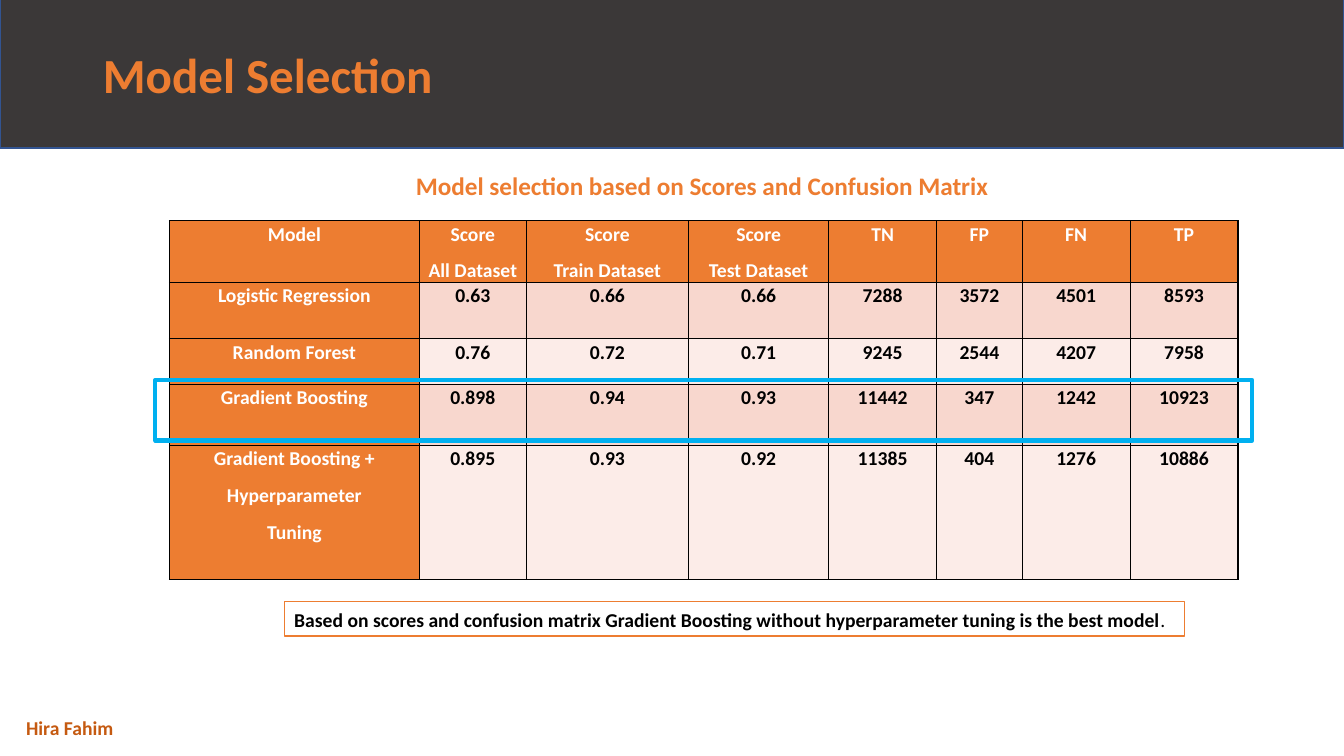
from lxml import etree
from pptx import Presentation
from pptx.dml.color import RGBColor
from pptx.enum.shapes import MSO_SHAPE
from pptx.enum.text import MSO_ANCHOR, PP_ALIGN
from pptx.oxml.ns import qn
from pptx.util import Inches, Pt

CENTER, LEFT = PP_ALIGN.CENTER, PP_ALIGN.LEFT
TOP, MIDDLE = MSO_ANCHOR.TOP, MSO_ANCHOR.MIDDLE
RECTANGLE = MSO_SHAPE.RECTANGLE
COLORS = {
    "band": "3B3838", "band_line": "325491", "orange": "ED7D31",
    "author": "C55A11", "white": "FFFFFF", "black": "000000",
    "odd_row": "F8D7CE", "even_row": "FCECE8", "highlight": "00B0F0",
}


def write(frame, runs, size, color, align=LEFT, spacing=None, after=None, new=False):
    """Add one paragraph of (text, bold) runs."""
    paragraph = frame.add_paragraph() if new else frame.paragraphs[0]
    paragraph.alignment = align
    paragraph.line_spacing = spacing
    paragraph.space_after = after
    for text, bold in runs:
        run = paragraph.add_run()
        run.text = text
        run.font.name = "Calibri"
        run.font.size = Pt(size)
        run.font.bold = bold
        run.font.color.rgb = RGBColor.from_string(COLORS[color])


def add_box(place, line, weight, fill=None):
    """Add an outlined rectangle."""
    box = slide.shapes.add_shape(RECTANGLE, *map(Inches, place))
    box.shadow.inherit = False
    if fill:
        box.fill.solid()
        box.fill.fore_color.rgb = RGBColor.from_string(COLORS[fill])
    else:
        box.fill.background()
    box.line.color.rgb = RGBColor.from_string(COLORS[line])
    box.line.width = Pt(weight)
    return box


prs = Presentation()
prs.slide_width, prs.slide_height = Inches(13.33), Inches(7.5)
slide = prs.slides.add_slide(prs.slide_layouts[5])

# Title on a dark band, with the band sent to the back
band = add_box((0, -0.03, 13.33, 1.5), "band_line", 1, "band")
slide.shapes._spTree.insert(2, band._element)
title = slide.shapes.title
title.left, title.top, title.width, title.height = map(Inches, (0.92, 0.05, 11.5, 1.45))
title.text_frame.vertical_anchor = MIDDLE
title.text_frame.word_wrap = True
write(title.text_frame, [("Model Selection", True)], 35, "orange", spacing=0.9)

# Author and table heading
for place, text, size, color, align in [
    ((0.16, 7.05, 1.15, 0.34), "Hira Fahim", 14, "author", LEFT),
    ((1.95, 1.64, 10.03, 0.4), "Model selection based on Scores and Confusion Matrix",
     18, "orange", CENTER),
]:
    label = slide.shapes.add_textbox(*map(Inches, place))
    label.text_frame.word_wrap = True
    write(label.text_frame, [(text, True)], size, color, align)

# Scores and confusion matrix; a line break starts a new paragraph
results = [
    ["Model", "Score\nAll Dataset", "Score\nTrain Dataset", "Score\nTest Dataset",
     "TN", "FP", "FN", "TP"],
    ["Logistic Regression", "0.63", "0.66", "0.66", "7288", "3572", "4501", "8593"],
    ["Random Forest", "0.76", "0.72", "0.71", "9245", "2544", "4207", "7958"],
    ["Gradient Boosting", "0.898", "0.94", "0.93", "11442", "347", "1242", "10923"],
    ["Gradient Boosting +\nHyperparameter\nTuning", "0.895", "0.93", "0.92",
     "11385", "404", "1276", "10886"],
]
column_widths = [2.48, 1.06, 1.61, 1.39, 1.07, 0.85, 1.07, 1.07]
row_heights = [0.61, 0.56, 0.45, 0.61, 1.33]
table = slide.shapes.add_table(
    len(results), len(column_widths), Inches(1.68), Inches(2.19),
    Inches(sum(column_widths)), Inches(sum(row_heights))).table
for column, width in zip(table.columns, column_widths):
    column.width = Inches(width)
for row, height in zip(table.rows, row_heights):
    row.height = Inches(height)

for r, model in enumerate(results):
    for c, value in enumerate(model):
        cell = table.cell(r, c)
        is_header = r == 0 or c == 0
        cell.margin_left = cell.margin_right = Inches(0.07)
        cell.margin_top = cell.margin_bottom = 0
        for i, line in enumerate(value.split("\n")):
            write(cell.text_frame, [(line, True)], 14, "white" if is_header else "black",
                  CENTER, 1.07, Pt(8), new=i > 0)

        # Borders go before the fill in the cell properties
        properties = cell._tc.get_or_add_tcPr()
        for side in ("a:lnL", "a:lnR", "a:lnT", "a:lnB"):
            border = etree.SubElement(properties, qn(side), w=str(Pt(1)))
            border_fill = etree.SubElement(border, qn("a:solidFill"))
            etree.SubElement(border_fill, qn("a:srgbClr"), val=COLORS["black"])
        fill = "orange" if is_header else "odd_row" if r % 2 else "even_row"
        cell.fill.solid()
        cell.fill.fore_color.rgb = RGBColor.from_string(COLORS[fill])

# Conclusion
conclusion = add_box((2.82, 5.97, 8.93, 0.34), "orange", 0.75)
conclusion.text_frame.word_wrap = True
conclusion.text_frame.vertical_anchor = TOP
write(conclusion.text_frame, [
    ("Based on scores and confusion matrix Gradient Boosting without "
     "hyperparameter tuning is the best model", True),
    (".", False),
], 14, "black", spacing=1.07, after=Pt(8))

# Highlight around the best model
add_box((1.54, 3.77, 10.88, 0.6), "highlight", 3)

prs.save("out.pptx")
